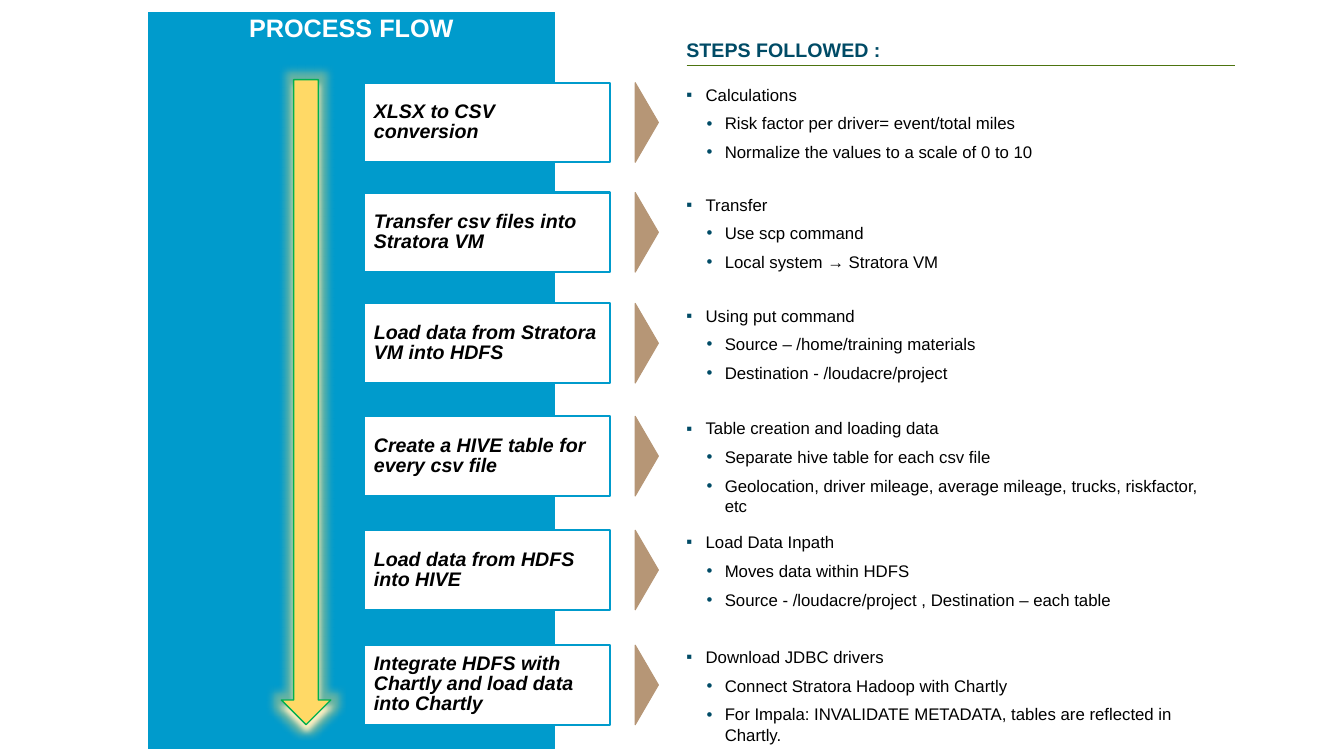
"""Build a slide with a vertical process flow and the steps behind each stage."""
import dataclasses

import lxml.etree
import pptx
import pptx.dml.color
import pptx.enum.shapes
import pptx.enum.text
import pptx.oxml.ns
import pptx.util

Inches = pptx.util.Inches
Pt = pptx.util.Pt
Shape = pptx.enum.shapes.MSO_SHAPE
Anchor = pptx.enum.text.MSO_ANCHOR
Align = pptx.enum.text.PP_ALIGN
Fit = pptx.enum.text.MSO_AUTO_SIZE


@dataclasses.dataclass(frozen=True)
class Theme:
    """Colours, font and type sizes."""
    font: str = "Arial"
    blue: str = "009BCC"
    navy: str = "004B66"
    tan: str = "B69676"
    gold: str = "FFD966"
    green: str = "00B050"
    olive: str = "4D740F"
    white: str = "FFFFFF"
    black: str = "000000"
    title: int = 18
    head: int = 14
    body: int = 12


STEPS = [
    (0.82, "XLSX to CSV conversion",
     ["Calculations", "Risk factor per driver= event/total miles",
      "Normalize the values to a scale of 0 to 10"]),
    (1.91, "Transfer csv files into Stratora VM",
     ["Transfer", "Use scp command", "Local system → Stratora VM"]),
    (3.01, "Load data from Stratora VM into HDFS",
     ["Using put command", "Source – /home/training materials",
      "Destination - /loudacre/project"]),
    (4.13, "Create a HIVE table for every csv file",
     ["Table creation and loading data",
      "Separate hive table for each csv file",
      "Geolocation, driver mileage, average mileage, trucks, riskfactor, etc"]),
    (5.26, "Load data from HDFS into HIVE",
     ["Load Data Inpath", "Moves data within HDFS",
      "Source - /loudacre/project , Destination – each table"]),
    (6.4, "Integrate HDFS with Chartly and load data into Chartly",
     ["Download JDBC drivers", "Connect Stratora Hadoop with Chartly",
      "For Impala: INVALIDATE METADATA, tables are reflected in Chartly."]),
]


def tint(code):
    """Turn a hex code into a colour."""
    return pptx.dml.color.RGBColor.from_string(code)


def node(base, tag, **attrs):
    """Add a drawing element below another one."""
    return lxml.etree.SubElement(base, pptx.oxml.ns.qn(tag), attrs)


class Deck:
    """Hold the theme and the current slide."""

    def __init__(self, theme):
        """Start a deck with one title-only slide."""
        self.theme = theme
        self.file = pptx.Presentation()
        self.file.slide_width = Inches(13.33)
        self.file.slide_height = Inches(7.5)
        self.slide = self.file.slides.add_slide(self.file.slide_layouts[5])

    def paint(self, shape, fill, edge, width):
        """Set fill and outline."""
        shape.fill.solid()
        shape.fill.fore_color.rgb = tint(fill)
        shape.line.color.rgb = tint(edge)
        shape.line.width = Pt(width)

    def label(self, para, text, size, color, bold=False, slant=False):
        """Add one styled run."""
        run = para.add_run()
        run.text = text
        run.font.name = self.theme.font
        run.font.size = Pt(size)
        run.font.bold = bold
        run.font.italic = slant
        run.font.color.rgb = tint(color)

    def title(self, text, left, top, width, height):
        """Format the title as a tall panel."""
        panel = self.slide.shapes.title
        panel.left, panel.top = Inches(left), Inches(top)
        panel.width, panel.height = Inches(width), Inches(height)
        self.paint(panel, self.theme.blue, self.theme.blue, 0.75)
        frame = panel.text_frame
        frame.auto_size = Fit.NONE
        frame.word_wrap = True
        frame.vertical_anchor = Anchor.TOP
        para = frame.paragraphs[0]
        para.alignment = Align.CENTER
        para.line_spacing = 0.85
        self.label(para, text, self.theme.title, self.theme.white, True)

    def shape(self, kind, left, top, width, height, fill, edge, line):
        """Add a flat preset shape."""
        item = self.slide.shapes.add_shape(
            kind, Inches(left), Inches(top), Inches(width), Inches(height))
        item.shadow.inherit = False
        self.paint(item, fill, edge, line)
        return item

    def stage(self, text, top):
        """Add a stage box and its pointer."""
        look = self.theme
        box = self.shape(Shape.RECTANGLE, 3.61, top, 2.44, 0.79,
                         look.white, look.blue, 1.5)
        frame = box.text_frame
        frame.word_wrap = True
        frame.vertical_anchor = Anchor.MIDDLE
        para = frame.paragraphs[0]
        para.alignment = Align.LEFT
        para.line_spacing = 0.85
        self.label(para, text, look.head, look.black, True, True)
        mark = self.shape(Shape.ISOSCELES_TRIANGLE, 6.02, top + 0.28,
                          0.79, 0.23, look.tan, look.tan, 0.75)
        mark.rotation = 90

    def frame(self, left, top, width, height, wrap=True):
        """Add a text box and return its frame."""
        box = self.slide.shapes.add_textbox(
            Inches(left), Inches(top), Inches(width), Inches(height))
        box.text_frame.word_wrap = wrap
        return box.text_frame

    def list(self, lines, top):
        """Add a lead bullet with points below it."""
        frame = self.frame(6.71, top, 5.48, 0.83)
        for rank, text in enumerate(lines):
            para = frame.add_paragraph() if rank else frame.paragraphs[0]
            para.level = 1 if rank else 0
            para.space_after = Pt(6)
            left, hang, sign = (0.38, 0.18, "•") if rank else (0.19, 0.19, "▪")
            props = para._p.get_or_add_pPr()
            props.set("marL", str(Inches(left)))
            props.set("indent", str(-Inches(hang)))
            node(node(props, "a:buClr"), "a:srgbClr", val=self.theme.navy)
            node(props, "a:buFont", typeface=self.theme.font)
            node(props, "a:buChar", char=sign)
            self.label(para, text, self.theme.body, self.theme.black)

    def head(self, text):
        """Add the list heading and its rule."""
        rule = self.slide.shapes.add_connector(
            pptx.enum.shapes.MSO_CONNECTOR.STRAIGHT,
            Inches(6.81), Inches(0.65), Inches(12.25), Inches(0.65))
        rule.line.color.rgb = tint(self.theme.olive)
        rule.line.width = Pt(0.75)
        node(rule._element.spPr, "a:effectLst")
        frame = self.frame(6.71, 0.35, 2.14, 0.32, wrap=False)
        frame.auto_size = Fit.SHAPE_TO_FIT_TEXT
        para = frame.paragraphs[0]
        para.line_spacing = 0.9
        self.label(para, text, self.theme.head, self.theme.navy, True)

    def arrow(self, left, top, width, height):
        """Add the glowing flow arrow."""
        item = self.shape(Shape.DOWN_ARROW, left, top, width, height,
                          self.theme.gold, self.theme.green, 1)
        glow_set = item._element.spPr.find(pptx.oxml.ns.qn("a:effectLst"))
        glow = node(glow_set, "a:glow", rad=str(Pt(11)))
        color = node(glow, "a:srgbClr", val=self.theme.gold)
        node(color, "a:alpha", val="40000")
        shade = node(glow_set, "a:outerShdw", blurRad=str(Pt(4)),
                     dist=str(Pt(4)), dir="5400000", rotWithShape="0")
        node(shade, "a:srgbClr", val=self.theme.white)


def main():
    """Draw the slide and save it."""
    deck = Deck(Theme())
    deck.title("PROCESS FLOW", 1.47, 0.12, 4.03, 7.31)
    deck.head("STEPS FOLLOWED :")
    for top, name, lines in STEPS:
        deck.stage(name, top)
        deck.list(lines, top - 0.03)
    deck.arrow(2.79, 0.79, 0.49, 6.4)
    deck.file.save("out.pptx")


if __name__ == "__main__":
    main()
